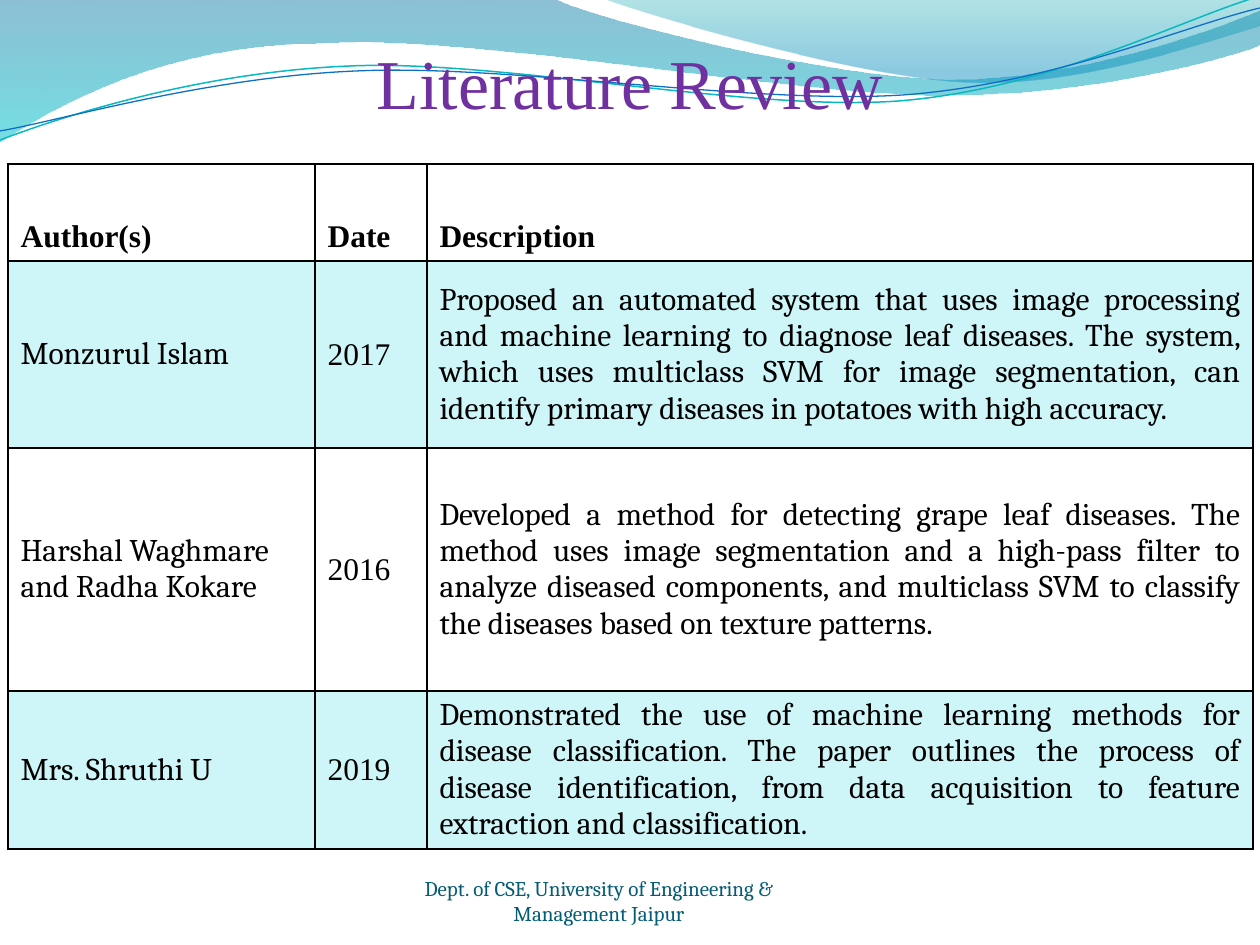
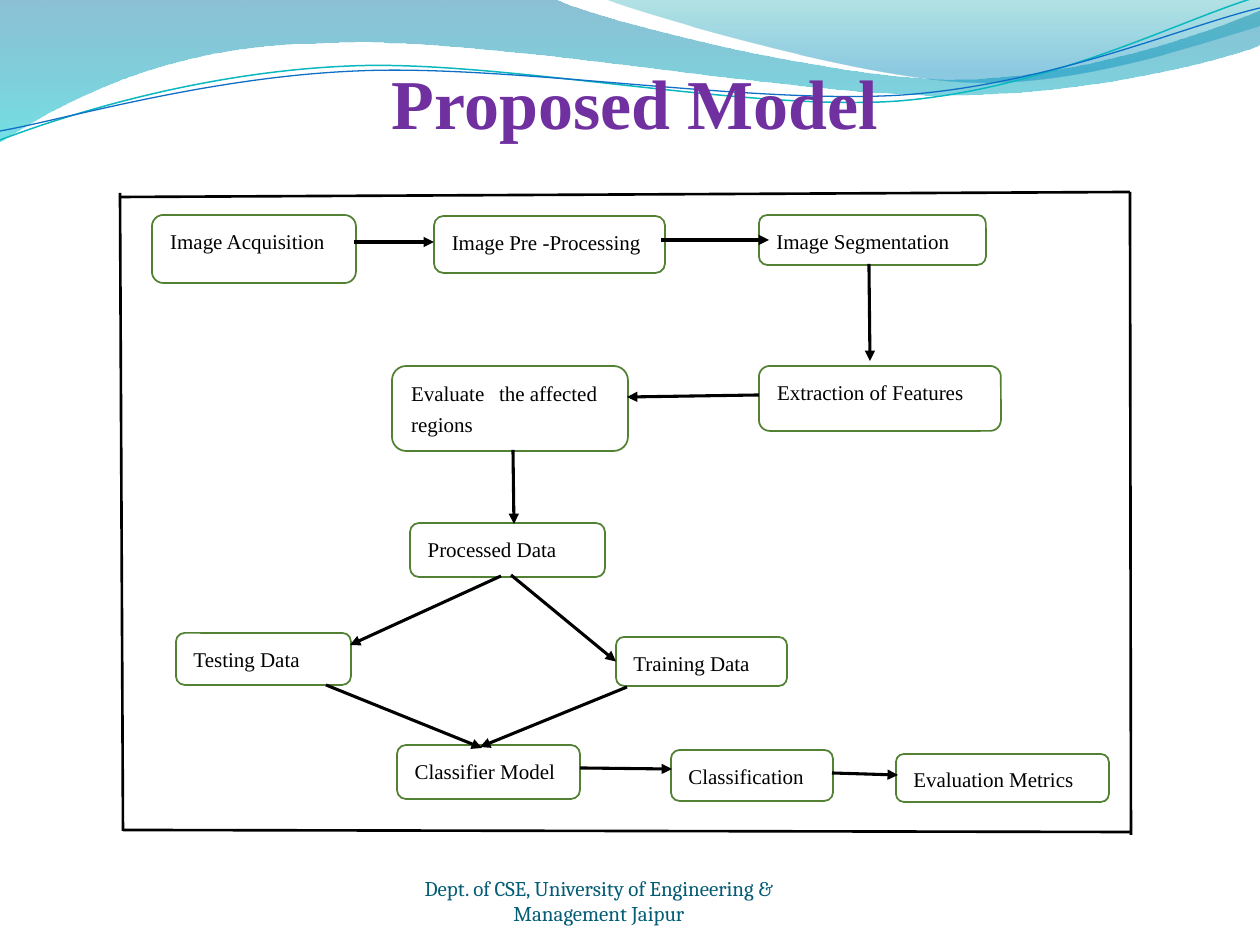
"""Build the literature review and proposed model slides."""
import lxml.etree
import pptx
import pptx.dml.color
import pptx.enum.dml
import pptx.enum.shapes
import pptx.enum.text
import pptx.oxml.ns
import pptx.util

RGB = pptx.dml.color.RGBColor
ALIGN = pptx.enum.text.PP_ALIGN
ANCHOR = pptx.enum.text.MSO_ANCHOR
KIND = pptx.enum.shapes.MSO_SHAPE
qn = pptx.oxml.ns.qn

PX = 914400 / 126
BLACK = RGB(0, 0, 0)
PURPLE = RGB(0x70, 0x30, 0xA0)
FOOTER_BLUE = RGB(0x04, 0x5C, 0x75)
BOX_GREEN = RGB(0x53, 0x81, 0x33)
ROW_TEAL = RGB(0x0B, 0xD0, 0xD9)
WAVE_TEAL = RGB(0x0A, 0xB8, 0xBF)
WAVE_BLUE = RGB(0x0F, 0x6F, 0xC6)
TIMES, CAMBRIA = "Times New Roman", "Cambria"

FOOTER = "Dept. of CSE, University of Engineering & Management Jaipur"

BANDS = [
    ([(0, -1), [(554, -1)],
      [(600, 21), (837, 79), (955, 79)], [(1075, 79), (1207, 33), (1260, 11)],
      [(1261, 45)],
      [(1239, 55), (1096, 96), (940, 95)], [(784, 95), (481, 35), (324, 43)],
      [(163, 44), (58, 105), (-1, 142)]],
     [(0, RGB(0x00, 0x74, 0xA1), 45), (1, RGB(0x00, 0xC6, 0xCF), 55)]),
    ([(604, -1),
      [(641, 14), (859, 78), (969, 82)], [(1079, 87), (1211, 40), (1260, 26)],
      [(1260, 0)]],
     [(0, RGB(0x00, 0xA1, 0xA9), 30), (0.8, RGB(0x00, 0x8B, 0xBF), 45)]),
]
WAVES = [
    ([(0, 140), [(60, 117), (199, 72), (349, 66)], [(498, 59), (747, 112), (898, 101)],
      [(1050, 89), (1182, 19), (1257, -3)]], WAVE_TEAL, 0.85),
    ([(0, 131), [(59, 121), (207, 77), (357, 71)], [(508, 64), (752, 105), (903, 95)],
      [(1053, 84), (1184, 26), (1260, 8)]], WAVE_BLUE, 0.75),
]

COLUMNS = [307, 112, 826]
ROWS = [97, 187, 243, 158]
REVIEWS = [
    ("Author(s)", "Date", "Description"),
    ("Monzurul Islam", "2017",
     "Proposed an automated system that uses image processing and machine learning to "
     "diagnose leaf diseases. The system, which uses multiclass SVM for image "
     "segmentation, can identify primary diseases in potatoes with high accuracy."),
    ("Harshal Waghmare and Radha Kokare", "2016",
     "Developed a method for detecting grape leaf diseases. The method uses image "
     "segmentation and a high-pass filter to analyze diseased components, and "
     "multiclass SVM to classify the diseases based on texture patterns."),
    ("Mrs. Shruthi U", "2019",
     "Demonstrated the use of machine learning methods for disease classification. "
     "The paper outlines the process of disease identification, from data acquisition "
     "to feature extraction and classification."),
]

STEPS = {
    "acquire": ("Image Acquisition", (152, 215, 204, 68)),
    "prepare": ("Image Pre -Processing", (434, 216, 231, 57)),
    "segment": ("Image Segmentation", (759, 215, 227, 50)),
    "extract": ("Extraction of Features", (759, 366, 242, 65)),
    "evaluate": ("Evaluate\tthe affected\nregions", (392, 366, 236, 85)),
    "processed": ("Processed Data", (410, 523, 195, 54)),
    "training": ("Training Data", (616, 637, 171, 49)),
    "testing": ("Testing Data", (176, 633, 175, 52)),
    "classifier": ("Classifier Model", (397, 745, 183, 54)),
    "classify": ("Classification", (671, 750, 162, 51)),
    "metrics": ("Evaluation Metrics", (896, 754, 213, 48)),
}
TOP, LEFT, BOTTOM, RIGHT = range(4)
FLOWS = [
    ((354, 242), (434, 242)),
    ((661, 240), (769, 240)),
    ((869, 264), (870, 361)),
    ((759, 395), (627, 397)),
    ((513, 450), (514, 524)),
    ((501, 576), (350, 645)),
    ((511, 575), ("training", LEFT)),
    ((326, 685), (482, 748)),
    ((627, 687), (480, 747)),
    ((580, 768), (672, 769)),
    ((832, 773), (898, 775)),
]
FRAME = [((120, 193), (123, 831)), ((120, 197), (1130, 192)),
         ((1130, 192), (1131, 835)), ((123, 830), (1131, 832))]


def px(*lengths):
    return [pptx.util.Emu(round(length * PX)) for length in lengths]


def add_tag(parent, tag, **attributes):
    return lxml.etree.SubElement(parent, qn(tag), attributes)


def set_alpha(element, percents):
    for color, percent in zip(element.iter(qn("a:srgbClr")), percents):
        add_tag(color, "a:alpha", val=str(percent * 1000))


def write(frame, text, size=12, font=TIMES, color=BLACK, bold=False, align=ALIGN.LEFT,
          anchor=None, inset=None, spacing=None, after=0, tab=None):
    frame.word_wrap = True
    if anchor is not None:
        frame.vertical_anchor = anchor
    if inset is not None:
        (frame.margin_left, frame.margin_top,
         frame.margin_right, frame.margin_bottom) = px(*inset)
    frame.text = text
    for paragraph in frame.paragraphs:
        paragraph.alignment = align
        paragraph.space_after = pptx.util.Pt(after)
        if spacing:
            paragraph.line_spacing = spacing
        for run in paragraph.runs:
            run.font.size, run.font.name = pptx.util.Pt(size), font
            run.font.bold, run.font.color.rgb = bold, color
            if tab and "\t" in run.text:
                stops = add_tag(paragraph._p.get_or_add_pPr(), "a:tabLst")
                add_tag(stops, "a:tab", pos=str(px(tab)[0]), algn="l")


def add_outline(slide, outline, close):
    start, *segments = outline
    builder = slide.shapes.build_freeform(*px(*start))
    builder.add_line_segments([px(*point) for segment in segments for point in segment],
                              close=close)
    shape = builder.convert_to_shape()
    shape.shadow.inherit = False
    route = next(shape.element.iter(qn("a:path")))
    legs = iter(route.findall(qn("a:lnTo")))
    for segment in segments:
        first, *others = [next(legs) for _ in segment]
        if others:
            curve = lxml.etree.Element(qn("a:cubicBezTo"))
            first.addprevious(curve)
            for leg in (first, *others):
                curve.append(leg[0])
                route.remove(leg)
    return shape


def draw_header(slide, layout):
    decorations = []
    for outline, stops in BANDS:
        band = add_outline(slide, outline, True)
        band.line.fill.background()
        band.fill.gradient()
        band.fill.gradient_angle = 270
        for stop, (position, color, _) in zip(band.fill.gradient_stops, stops):
            stop.position, stop.color.rgb = position, color
        set_alpha(band.element, [alpha for *_, alpha in stops])
        decorations.append(band)
    for outline, color, width in WAVES:
        wave = add_outline(slide, outline, False)
        wave.fill.background()
        wave.line.color.rgb, wave.line.width = color, pptx.util.Pt(width)
        decorations.append(wave)
    for index, decoration in enumerate(decorations):
        layout.shapes.element.insert(2 + index, decoration.element)


def add_slide(deck, layout, heading, place, bold):
    slide = deck.slides.add_slide(layout)
    title = slide.shapes.title
    title.left, title.top, title.width, title.height = px(*place)
    write(title.text_frame, heading, size=40, color=PURPLE, bold=bold,
          align=ALIGN.CENTER, anchor=ANCHOR.BOTTOM, inset=(0, 6, 0, 0))
    title.text_frame.auto_size = pptx.enum.text.MSO_AUTO_SIZE.NONE
    footer = slide.shapes.add_textbox(*px(368, 876, 462, 50))
    write(footer.text_frame, FOOTER, font=CAMBRIA, color=FOOTER_BLUE,
          align=ALIGN.CENTER, anchor=ANCHOR.BOTTOM, inset=(0, 0, 0, 0))
    return slide


def draw_reviews(slide):
    holder = slide.shapes.add_table(len(ROWS), len(COLUMNS),
                                    *px(8, 164, sum(COLUMNS), sum(ROWS)))
    table = holder.table
    for column, width in zip(table.columns, px(*COLUMNS)):
        column.width = width
    for row, height in zip(table.rows, px(*ROWS)):
        row.height = height
    for r, review in enumerate(REVIEWS):
        for c, text in enumerate(review):
            cell = table.cell(r, c)
            write(cell.text_frame, text, size=18, bold=r == 0,
                  font=TIMES if r == 0 or c == 1 else CAMBRIA,
                  align=ALIGN.JUSTIFY if r and c == 2 else ALIGN.LEFT)
            cell.vertical_anchor = ANCHOR.MIDDLE if r else ANCHOR.BOTTOM
            if r == len(ROWS) - 1:
                cell.margin_top, cell.margin_bottom = px(3, 3)
            if r % 2:
                cell.fill.solid()
                cell.fill.fore_color.rgb = ROW_TEAL
            else:
                cell.fill.background()
    for properties in holder.element.iter(qn("a:tcPr")):
        set_alpha(properties, [20])
        for index, side in enumerate("LRTB"):
            border = add_tag(properties, "a:ln" + side, w="12700")
            add_tag(add_tag(border, "a:solidFill"), "a:srgbClr", val=str(BLACK))
            properties.insert(index, border)


def end_point(end):
    if not isinstance(end[0], str):
        return end
    left, top, width, height = STEPS[end[0]][1]
    return [(left + width / 2, top), (left, top + height / 2),
            (left + width / 2, top + height), (left + width, top + height / 2)][end[1]]


def add_line(slide, begin, end, boxes, width, arrow):
    line = slide.shapes.add_connector(pptx.enum.shapes.MSO_CONNECTOR.STRAIGHT,
                                      *px(*end_point(begin), *end_point(end)))
    for point, connect in ((begin, line.begin_connect), (end, line.end_connect)):
        if isinstance(point[0], str):
            connect(boxes[point[0]], point[1])
    line.line.color.rgb, line.line.width = BLACK, pptx.util.Pt(width)
    if arrow:
        add_tag(line.line._get_or_add_ln(), "a:tailEnd", type="triangle")
    add_tag(line.element.spPr, "a:effectLst")


def draw_model(slide):
    boxes = {}
    for step, (text, place) in STEPS.items():
        box = slide.shapes.add_shape(KIND.ROUNDED_RECTANGLE, *px(*place))
        box.shadow.inherit = False
        box.fill.background()
        box.line.color.rgb, box.line.width = BOX_GREEN, pptx.util.Pt(1)
        write(box.text_frame, text, anchor=ANCHOR.TOP, inset=(15, 9, 0, 0),
              spacing=1.07, after=2, tab=88)
        boxes[step] = box
    for begin, end in FLOWS:
        add_line(slide, begin, end, boxes, 1.75, True)
    for begin, end in FRAME:
        add_line(slide, begin, end, boxes, 1.5, False)


def main():
    deck = pptx.Presentation()
    deck.slide_width, deck.slide_height = px(1260, 945)
    layout = deck.slide_layouts[5]
    review = add_slide(deck, layout, "Literature Review", (105, 11, 1050, 113), False)
    draw_header(review, layout)
    draw_reviews(review)
    model = add_slide(deck, layout, "Proposed Model", (68, 18, 1134, 126), True)
    draw_model(model)
    deck.save("out.pptx")


if __name__ == "__main__":
    main()
